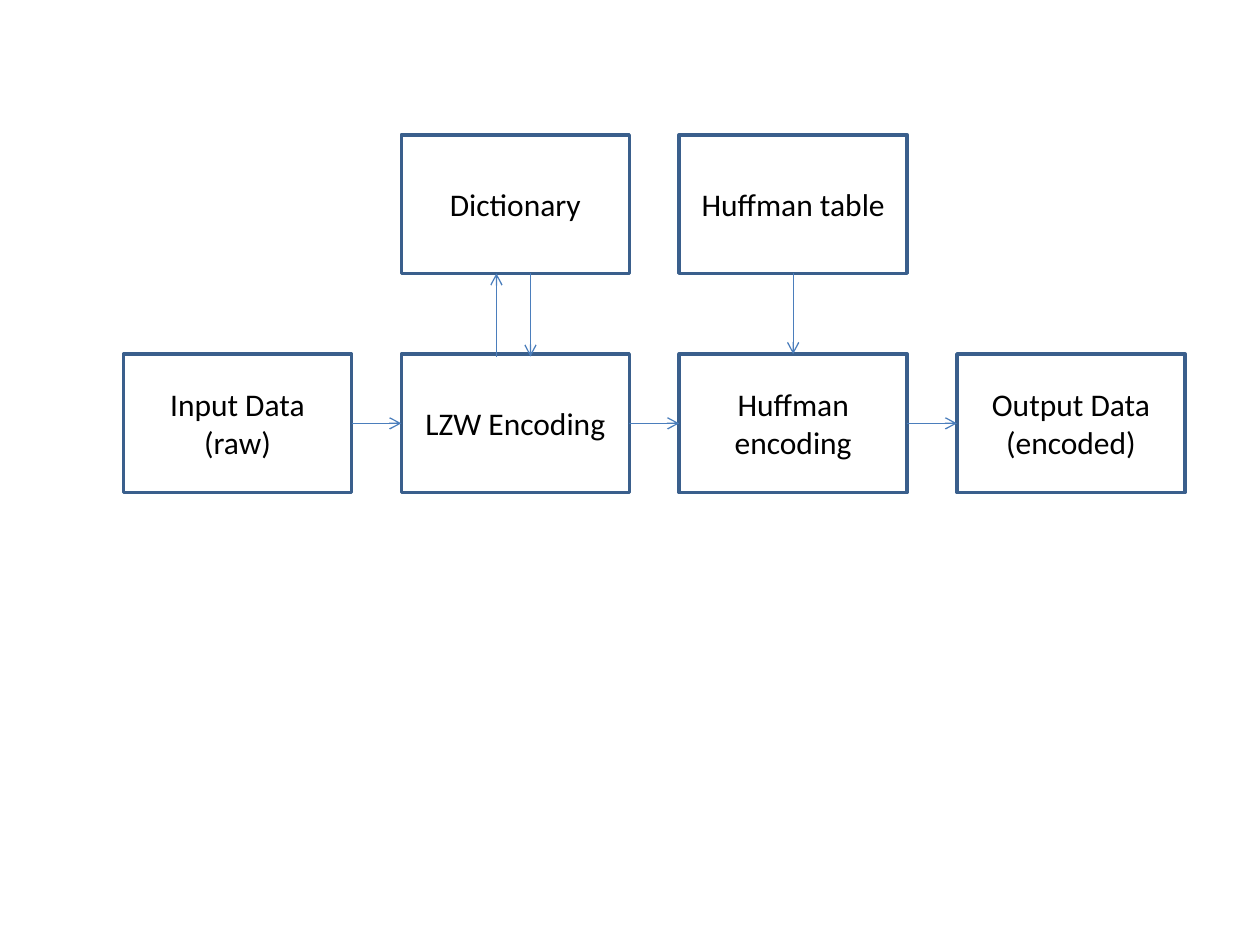
from lxml.etree import SubElement
from pptx import Presentation
from pptx.dml.color import RGBColor
from pptx.enum.shapes import MSO_CONNECTOR, MSO_SHAPE
from pptx.enum.text import MSO_ANCHOR, PP_ALIGN
from pptx.oxml.ns import qn
from pptx.util import Inches, Pt

LEFT, PITCH = 0.98, 2.205
BOX_W, BOX_H = 1.81, 1.1
STORE_TOP, STAGE_TOP = 1.07, 2.81
TOP, BOTTOM, LEFT_SIDE, RIGHT_SIDE = 0, 2, 1, 3


def rgb(value):
    """Return the colour for a hex string."""
    return RGBColor.from_string(value)


def add_box(slide, column, top, lines):
    """Add a bordered box with centred lines in a grid column."""
    sp = slide.shapes.add_shape(
        MSO_SHAPE.RECTANGLE, Inches(LEFT + column * PITCH), Inches(top),
        Inches(BOX_W), Inches(BOX_H))
    sp.shadow.inherit = False
    sp.fill.solid()
    sp.fill.fore_color.rgb = rgb("FFFFFF")
    sp.line.color.rgb = rgb("3A5F8C")
    sp.line.width = Pt(2)
    tf = sp.text_frame
    tf.word_wrap = True
    tf.vertical_anchor = MSO_ANCHOR.MIDDLE
    for i, line in enumerate(lines):
        p = tf.paragraphs[0] if i == 0 else tf.add_paragraph()
        p.alignment = PP_ALIGN.CENTER
        r = p.add_run()
        r.text = line
        r.font.name = "Calibri"
        r.font.size = Pt(18)
        r.font.color.rgb = rgb("000000")
    return sp


def add_arrow(slide, x1=0, y1=0, x2=0, y2=0):
    """Add a thin line with an open arrowhead at its end."""
    cxn = slide.shapes.add_connector(
        MSO_CONNECTOR.STRAIGHT, Inches(x1), Inches(y1), Inches(x2), Inches(y2))
    cxn.line.color.rgb = rgb("4B7EBC")
    cxn.line.width = Pt(0.75)
    SubElement(cxn.line._get_or_add_ln(), qn("a:tailEnd"), type="arrow")
    SubElement(cxn._element.spPr, qn("a:effectLst"))
    return cxn


def join(slide, source, source_side, target, target_side):
    """Join two boxes with an arrow between the given sides."""
    cxn = add_arrow(slide)
    cxn.begin_connect(source, source_side)
    cxn.end_connect(target, target_side)


def add_pipeline(slide, top):
    """Add the row of processing stages and return its boxes."""
    labels = [["Input Data", "(raw)"], ["LZW Encoding"],
              ["Huffman encoding"], ["Output Data", "(encoded)"]]
    stages = [add_box(slide, i, top, lines) for i, lines in enumerate(labels)]
    for source, target in zip(stages, stages[1:]):
        join(slide, source, RIGHT_SIDE, target, LEFT_SIDE)
    return stages


def add_stores(slide, top, stages):
    """Add the lookup boxes above the stages that use them."""
    add_box(slide, 1, top, ["Dictionary"])
    table = add_box(slide, 2, top, ["Huffman table"])
    join(slide, table, BOTTOM, stages[2], TOP)
    upper, lower = top + BOX_H, STAGE_TOP + 0.02
    add_arrow(slide, 3.94, lower, 3.94, upper)
    add_arrow(slide, 4.21, upper, 4.21, lower)


def main():
    """Build and save the encoding diagram."""
    prs = Presentation()
    prs.slide_width, prs.slide_height = Inches(10), Inches(7.5)
    s = prs.slides.add_slide(prs.slide_layouts[6])
    stages = add_pipeline(s, STAGE_TOP)
    add_stores(s, STORE_TOP, stages)
    prs.save("out.pptx")


if __name__ == "__main__":
    main()
